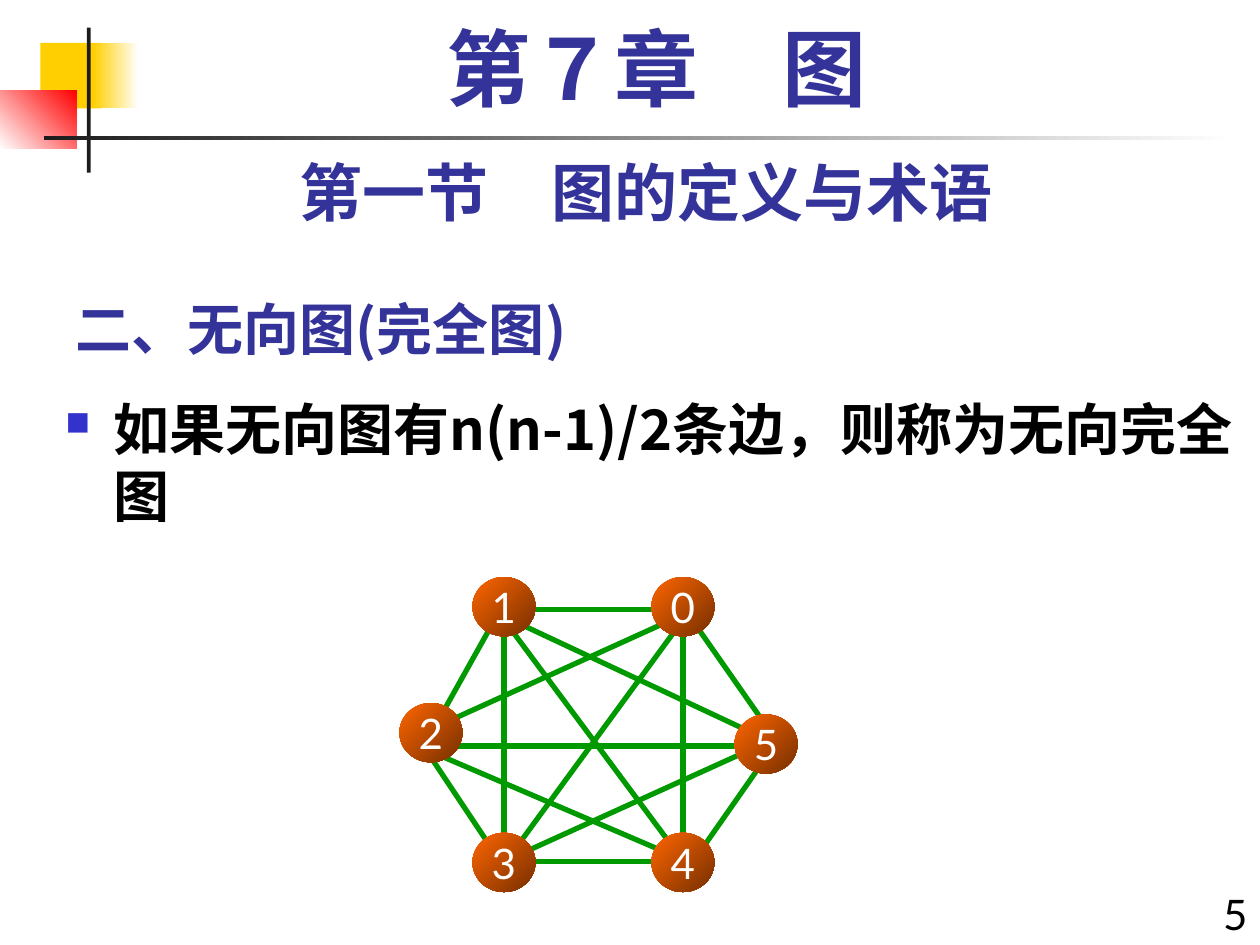
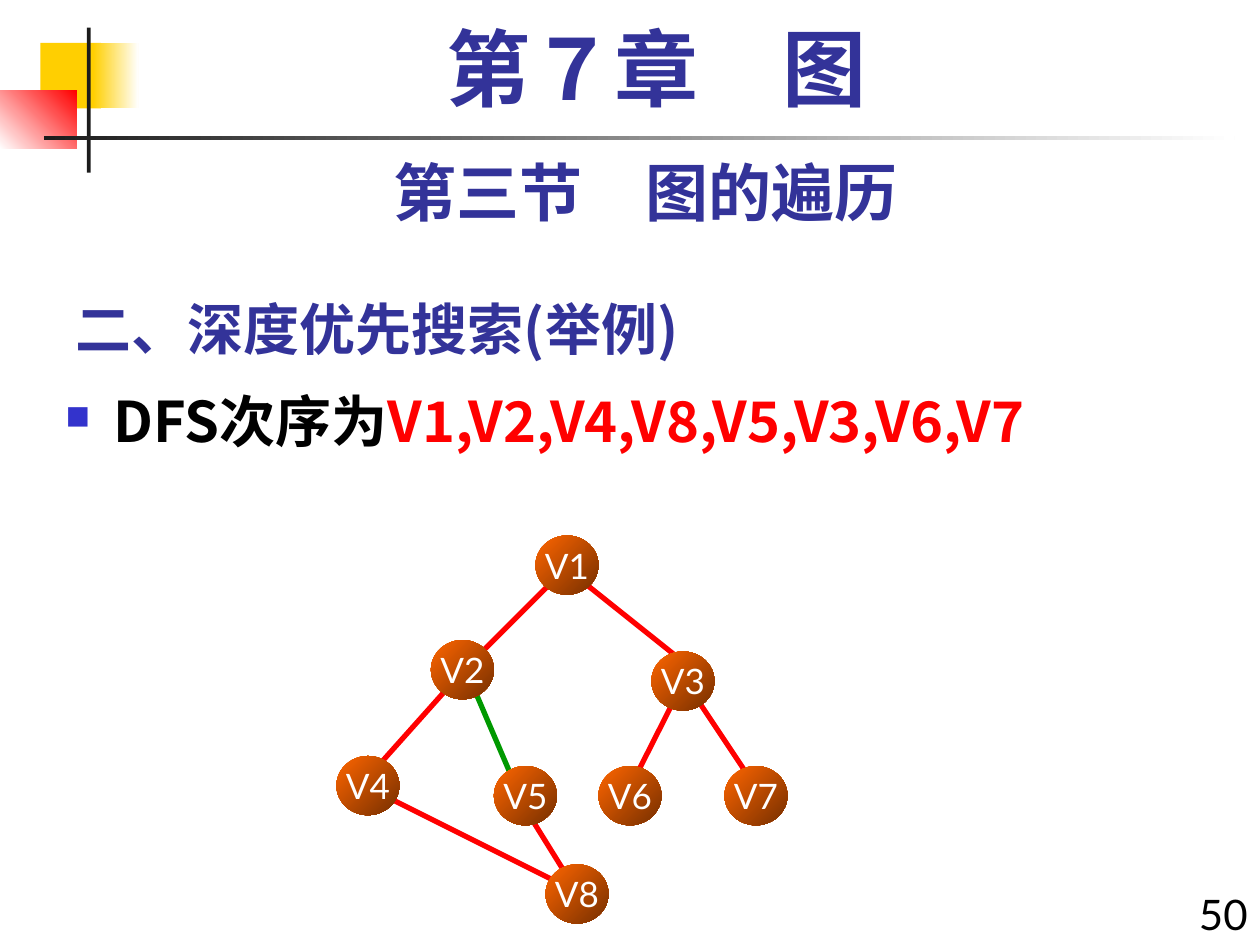
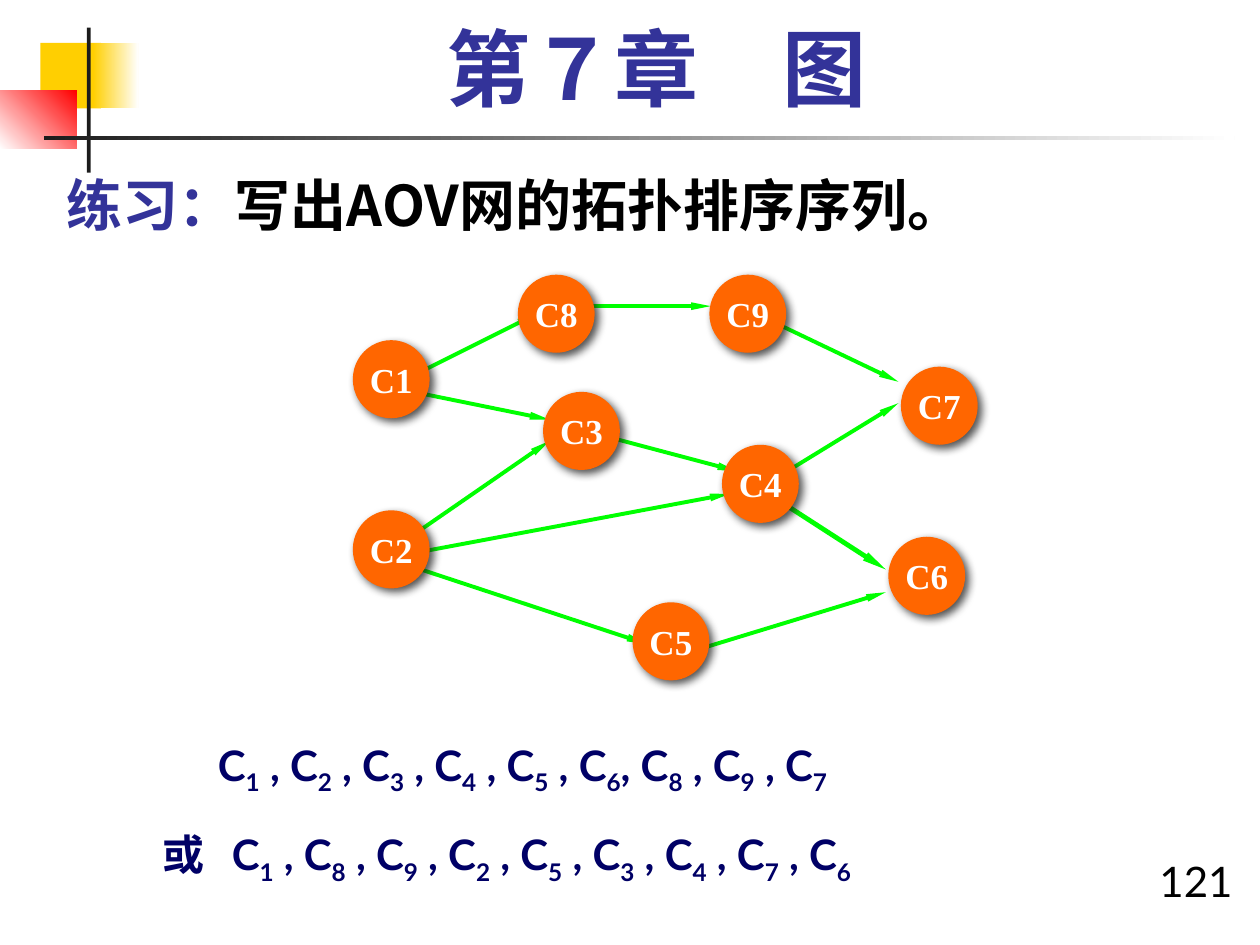
"""Build three slides of a lesson on graphs."""
from dataclasses import dataclass
from itertools import groupby

from pptx import Presentation
from pptx.dml.color import RGBColor
from pptx.enum.shapes import MSO_CONNECTOR, MSO_SHAPE
from pptx.enum.text import MSO_ANCHOR, PP_ALIGN
from pptx.oxml import parse_xml
from pptx.oxml.ns import nsdecls, qn
from pptx.util import Emu, Pt

RECT, OVAL = MSO_SHAPE.RECTANGLE, MSO_SHAPE.OVAL
LINE = MSO_CONNECTOR.STRAIGHT
TOP, MIDDLE, BOTTOM = MSO_ANCHOR.TOP, MSO_ANCHOR.MIDDLE, MSO_ANCHOR.BOTTOM
LEFT, CENTER, RIGHT = PP_ALIGN.LEFT, PP_ALIGN.CENTER, PP_ALIGN.RIGHT
SCALE = 9144


@dataclass(frozen=True)
class Theme:
    """Colours, fonts and type sizes of the deck."""
    blue: str = "333399"
    navy: str = "000066"
    bullet: str = "3333CC"
    black: str = "000000"
    white: str = "FFFFFF"
    red: str = "FF0000"
    gold: str = "FFCF01"
    ink: str = "1C1C1C"
    green: str = "009900"
    lime: str = "00FF00"
    orange: str = "FF6600"
    brown: str = "762F00"
    sans: str = "Lato"
    serif: str = "Times New Roman"
    han: str = "Noto Sans CJK SC"
    chapter: int = 48
    section: int = 36
    head: int = 32
    small: int = 24
    label: int = 20


T = Theme()


@dataclass(frozen=True)
class Node:
    """Look of the round nodes in a graph."""
    wide: int
    high: int
    font: str
    size: int
    bold: bool
    raised: bool


@dataclass(frozen=True)
class Pen:
    """Look of the edges in a graph."""
    color: str
    width: float
    arrow: bool


BALL = Node(50, 47, T.sans, T.small, False, False)
SMALL = Node(50, 47, T.sans, T.label, False, False)
DISC = Node(61, 62, T.serif, T.label, True, True)
GREEN, RED = Pen(T.green, 3, False), Pen(T.red, 3, False)
LIME, THICK = Pen(T.lime, 2.25, True), Pen(T.lime, 2.75, True)

FULL_NODES = {"1": (58, 0), "3": (58, 203), "2": (0, 100),
              "5": (266, 109), "4": (200, 203), "0": (200, 0)}
FULL_EDGES = {GREEN: [
    (208, 26, 108, 26), (225, 43, 225, 210), (233, 35, 291, 118),
    (75, 35, 33, 110), (83, 218, 83, 43), (283, 125, 91, 35),
    (75, 218, 25, 143), (216, 226, 91, 226), (283, 135, 100, 218),
    (291, 143, 233, 226), (225, 225, 83, 34), (91, 217, 225, 34),
    (216, 34, 33, 117), (283, 134, 33, 134), (208, 217, 33, 142)]}

TREE_NODES = {"V1": (158, 0), "V3": (250, 92), "V2": (75, 83),
              "V5": (125, 183), "V4": (0, 175), "V6": (208, 183),
              "V7": (308, 183), "V8": (166, 261)}
TREE_EDGES = {
    RED: [(100, 108, 25, 192), (175, 33, 100, 108), (191, 283, 25, 200),
          (191, 283, 150, 217), (191, 33, 275, 100), (275, 117, 233, 200),
          (283, 125, 333, 200)],
    GREEN: [(150, 217, 100, 100)]}

NET_NODES = {"C8": (131, 0), "C3": (151, 93), "C5": (222, 260),
             "C4": (293, 135), "C9": (283, 0), "C6": (425, 208),
             "C7": (435, 73), "C1": (0, 52), "C2": (0, 187)}
NET_EDGES = {
    THICK: [(330, 174, 423, 234)],
    LIME: [(33, 227, 233, 293), (43, 210, 156, 132), (38, 91, 156, 115),
           (38, 85, 146, 31), (176, 25, 284, 25), (192, 126, 305, 156),
           (43, 222, 299, 174), (320, 31, 433, 85), (335, 162, 433, 102),
           (269, 299, 423, 252)]}


def px(*sizes):
    """Turn px lengths into EMU."""
    return [Emu(size * SCALE) for size in sizes]


def rgb(color):
    """Turn a hex string into a colour."""
    return RGBColor.from_string(color)


def blend(shape, start, end, angle):
    """Fill a shape with a two-colour gradient."""
    shape.fill.gradient()
    shape.fill.gradient_angle = angle
    for stop, color in zip(shape.fill.gradient_stops, (start, end)):
        stop.color.rgb = rgb(color)


def paint(shape, color):
    """Fill a shape with one colour."""
    shape.fill.solid()
    shape.fill.fore_color.rgb = rgb(color)


def plain(shapes, kind, box):
    """Add a preset shape with no line and no shadow."""
    shape = shapes.add_shape(kind, *px(*box))
    shape.line.fill.background()
    shape.shadow.inherit = False
    return shape


def put(para, text, color, size, font, bold=True):
    """Add one styled run to a paragraph."""
    run = para.add_run()
    run.text = text
    run.font.name, run.font.size, run.font.bold = font, Pt(size), bold
    run.font.color.rgb = rgb(color)
    props = run.font._element
    props.find(qn("a:latin")).addnext(
        parse_xml(f'<a:ea {nsdecls("a")} typeface="{T.han}"/>'))
    return run


def frame(slide, box, anchor=TOP, align=LEFT, lead=None):
    """Add a wrapping text box and return its text frame."""
    body = slide.shapes.add_textbox(*px(*box)).text_frame
    body.word_wrap = True
    body.vertical_anchor = anchor
    para = body.paragraphs[0]
    para.alignment = align
    para.line_spacing = lead
    return body


def words(slide, box, runs, size, font, bold=True, **style):
    """Add a text box of one paragraph made of coloured runs."""
    para = frame(slide, box, **style).paragraphs[0]
    for text, color in runs:
        put(para, text, color, size, font, bold)
    return para


def dot(para):
    """Give a paragraph a square bullet with a hanging indent."""
    props = para._p.get_or_add_pPr()
    left, = px(38)
    props.set("marL", str(left))
    props.set("indent", str(-left))
    for xml in (f'<a:buClr {nsdecls("a")}><a:srgbClr val="{T.bullet}"/></a:buClr>',
                f'<a:buSzPct {nsdecls("a")} val="60000"/>',
                f'<a:buChar {nsdecls("a")} char="■"/>'):
        props.append(parse_xml(xml))


def band(slide):
    """Draw the corner blocks, the rules and the chapter title."""
    for box, start, end, angle in (
            ((32, 34, 48, 52), T.gold, None, 0),
            ((74, 34, 36, 52), T.gold, T.white, 0),
            ((0, 72, 61, 46), T.white, T.red, 45),
            ((69, 22, 3, 115), T.ink, None, 0),
            ((35, 108, 945, 3), T.ink, T.white, 0)):
        block = plain(slide.shapes, RECT, box)
        if end:
            blend(block, start, end, angle)
        else:
            paint(block, start)
    words(slide, (67, 17, 908, 83), [("第７章　图", T.blue)], T.chapter, T.serif,
          align=CENTER, lead=0.9)


def page(slide, box, number):
    """Write the page number."""
    words(slide, box, [(number, T.black)], T.small, T.sans, False, align=RIGHT)


def edge(shapes, start, end, pen):
    """Draw one edge between two points."""
    line = shapes.add_connector(LINE, *px(*start, *end))
    line.line.color.rgb = rgb(pen.color)
    line.line.width = Pt(pen.width)
    props = line._element.spPr
    if pen.arrow:
        props.find(qn("a:ln")).append(parse_xml(
            f'<a:tailEnd {nsdecls("a")} type="triangle" w="sm" len="lg"/>'))
    props.append(parse_xml(f'<a:effectLst {nsdecls("a")}/>'))


def shade(shape):
    """Give a shape a soft shadow to the lower right."""
    shape._element.spPr.find(qn("a:effectLst")).append(parse_xml(
        f'<a:outerShdw {nsdecls("a")} blurRad="{Pt(5)}" dist="{Pt(3)}" '
        f'dir="2700000" algn="ctr" rotWithShape="0"><a:srgbClr val="{T.ink}">'
        '<a:alpha val="75000"/></a:srgbClr></a:outerShdw>'))


def knot(shapes, spot, name, look):
    """Draw one labelled node."""
    ball = plain(shapes, OVAL, (*spot, look.wide, look.high))
    body = ball.text_frame
    if look.raised:
        paint(ball, T.orange)
        shade(ball)
    else:
        blend(ball, T.orange, T.brown, 315)
        body.margin_left = body.margin_right = 0
    body.word_wrap = False
    body.vertical_anchor = MIDDLE
    para = body.paragraphs[0]
    para.alignment = CENTER
    put(para, name, T.white, look.size, look.font, look.bold)


def graph(slide, spot, nodes, edges, look):
    """Draw a graph with its edges behind its nodes."""
    left, top = spot
    shapes = slide.shapes.add_group_shape().shapes
    for pen, lines in edges.items():
        for ax, ay, bx, by in lines:
            edge(shapes, (left + ax, top + ay), (left + bx, top + by), pen)
    for name, (x, y) in nodes.items():
        knot(shapes, (left + x, top + y), name, look)


def topic(slide, section, title, point, lead, number):
    """Write the section, title, bullet and number of a topic slide."""
    words(slide, (50, 117, 925, 70), [(section, T.blue)], T.section, T.sans,
          align=CENTER)
    words(slide, (50, 217, 825, 75), [(title, T.blue)], T.head, T.han,
          anchor=BOTTOM)
    dot(words(slide, (42, 308, 958, 140), point, T.head, T.han, lead=lead))
    page(slide, (933, 700, 67, 50), number)


def order(para, text):
    """Write a sequence with its digits as subscripts."""
    for digit, chars in groupby(text, str.isdigit):
        run = put(para, "".join(chars), T.navy, T.small, T.sans)
        if digit:
            run.font._element.set("baseline", "-25000")


def answer(slide, box):
    """Write the two valid sequences, lined up by indent and tab."""
    body = frame(slide, box, lead=1.5)
    body.margin_left, indent, stop = px(26, 44, 55)
    first, second = body.paragraphs[0], body.add_paragraph()
    first._p.get_or_add_pPr().set("marL", str(indent))
    second._p.get_or_add_pPr().append(parse_xml(
        f'<a:tabLst {nsdecls("a")}><a:tab pos="{stop}" algn="l"/></a:tabLst>'))
    second.line_spacing = 1.5
    second.space_before = Pt(2)
    order(first, "C1 , C2 , C3 , C4 , C5 , C6, C8 , C9 , C7")
    order(second, "或\tC1 , C8 , C9 , C2 , C5 , C3 , C4 , C7 , C6")


def drill(slide):
    """Fill the exercise slide."""
    words(slide, (43, 131, 898, 63),
          [("练习：", T.blue), ("写出AOV网的拓扑排序序列。", T.black)],
          T.head, T.han, anchor=BOTTOM, lead=1.5)
    graph(slide, (280, 218), NET_NODES, NET_EDGES, DISC)
    answer(slide, (103, 559, 767, 154))
    page(slide, (886, 674, 102, 50), "121")


def main():
    """Build and save the deck."""
    deck = Presentation()
    deck.slide_width, deck.slide_height = px(1000, 750)
    full, tree, net = (deck.slides.add_slide(deck.slide_layouts[6])
                       for _ in range(3))
    for slide in (full, tree, net):
        band(slide)
    topic(full, "第一节　图的定义与术语", "二、无向图(完全图)",
          [("如果无向图有n(n-1)/2条边，则称为无向完全图", T.black)], None, "5")
    graph(full, (317, 458), FULL_NODES, FULL_EDGES, BALL)
    topic(tree, "第三节　图的遍历", "二、深度优先搜索(举例)",
          [("DFS次序为", T.black), ("V1,V2,V4,V8,V5,V3,V6,V7", T.red)], 0.9, "50")
    graph(tree, (267, 425), TREE_NODES, TREE_EDGES, SMALL)
    drill(net)
    deck.save("out.pptx")


if __name__ == "__main__":
    main()
